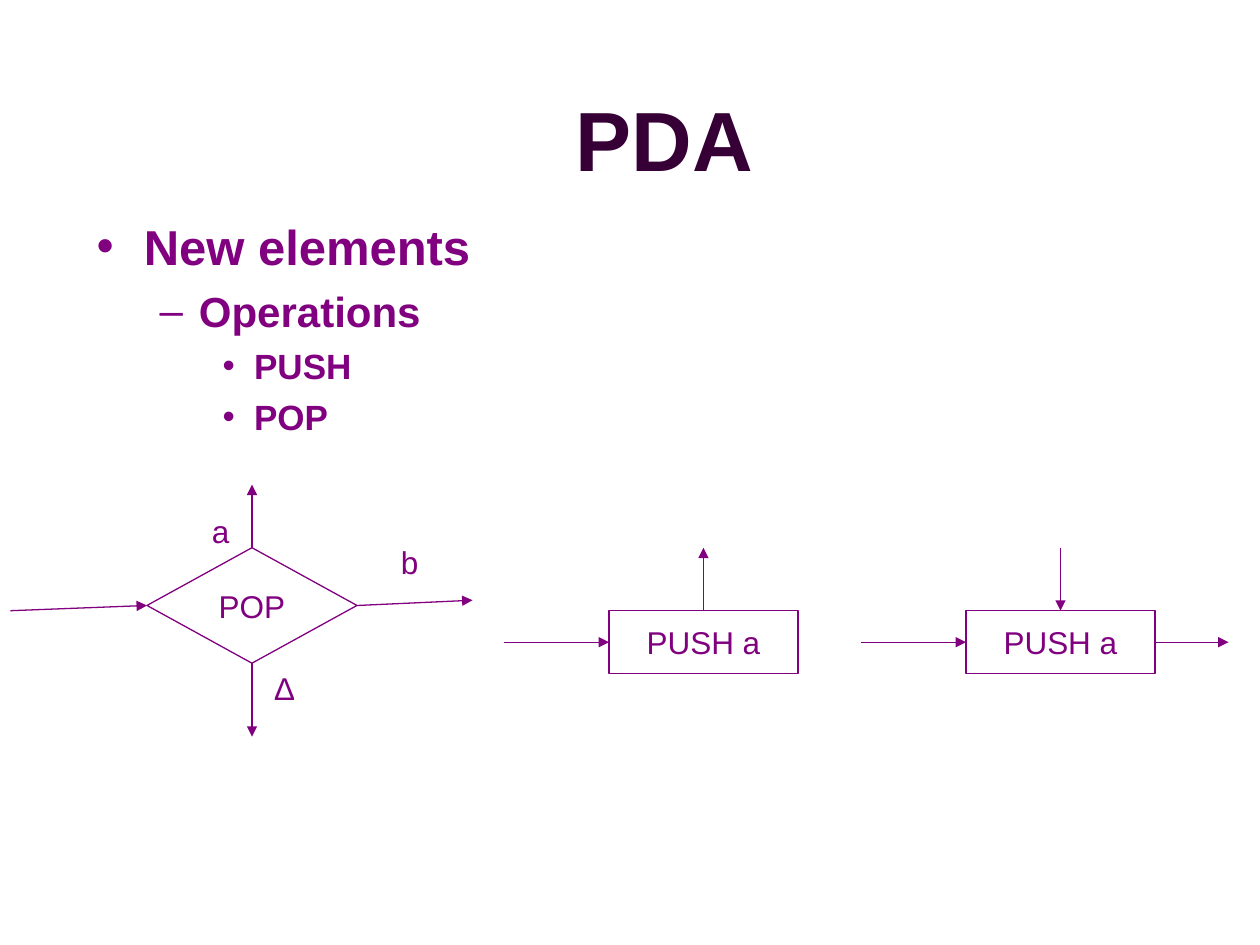
from lxml import etree
from pptx import Presentation
from pptx.dml.color import RGBColor
from pptx.enum import shapes, text
from pptx.oxml.ns import qn
from pptx.util import Pt

PURPLE = "800080"
DARK_PURPLE = "360036"
TOP, LEFT, BOTTOM, RIGHT = range(4)


def color(hex_value):
    return RGBColor.from_string(hex_value)


def write(paragraph, content, size=18, bold=False, fill=PURPLE, align=text.PP_ALIGN.LEFT):
    paragraph.alignment = align
    run = paragraph.add_run()
    run.text = content
    run.font.name = "Arial"
    run.font.size = Pt(size)
    run.font.bold = bold
    run.font.color.rgb = color(fill)


def place(shape, box):
    shape.left, shape.top, shape.width, shape.height = map(Pt, box)


def add_bullet(paragraph, character, margin, indent):
    properties = paragraph._p.get_or_add_pPr()
    properties.set("marL", str(Pt(margin)))
    properties.set("indent", str(Pt(-indent)))
    bullet_color = etree.SubElement(properties, qn("a:buClr"))
    etree.SubElement(bullet_color, qn("a:srgbClr"), val=PURPLE)
    etree.SubElement(properties, qn("a:buFont"), typeface="Arial")
    etree.SubElement(properties, qn("a:buChar"), char=character)


def add_title(slide, box):
    title = slide.shapes.title
    place(title, box)
    frame = title.text_frame
    frame.auto_size = text.MSO_AUTO_SIZE.NONE
    frame.vertical_anchor = text.MSO_ANCHOR.MIDDLE
    write(frame.paragraphs[0], "PDA", size=48, bold=True, fill=DARK_PURPLE,
          align=text.PP_ALIGN.CENTER)


def add_list(slide, box):
    body = slide.placeholders[1]
    place(body, box)
    frame = body.text_frame
    frame.auto_size = text.MSO_AUTO_SIZE.NONE
    # Per level: bullet, margin, hanging indent, text size, space before
    levels = [("•", 27, 27, 28, 0), ("–", 58.5, 22.5, 24, 6), ("•", 90, 18, 20, 5)]
    items = [("New elements", 0), ("Operations", 1), ("PUSH", 2), ("POP", 2)]
    for index, (content, level) in enumerate(items):
        paragraph = frame.add_paragraph() if index else frame.paragraphs[0]
        character, margin, indent, size, space = levels[level]
        paragraph.level = level
        add_bullet(paragraph, character, margin, indent)
        paragraph.space_before = Pt(space)
        write(paragraph, content, size=size, bold=True)


def add_node(slide, kind, content, box):
    node = slide.shapes.add_shape(kind, *map(Pt, box))
    node.shadow.inherit = False
    node.fill.background()
    node.line.color.rgb = color(PURPLE)
    node.line.width = Pt(0.75)
    frame = node.text_frame
    frame.word_wrap = False
    frame.vertical_anchor = text.MSO_ANCHOR.MIDDLE
    write(frame.paragraphs[0], content, align=text.PP_ALIGN.CENTER)
    return node


def add_arrow(slide, node, site, far_x, far_y, inward=False):
    """Arrow between a side of the node and a free point."""
    connector = slide.shapes.add_connector(
        shapes.MSO_CONNECTOR.STRAIGHT, *map(Pt, (far_x, far_y, far_x, far_y)))
    join = connector.end_connect if inward else connector.begin_connect
    join(node, site)
    connector.line.color.rgb = color(PURPLE)
    connector.line.width = Pt(0.75)
    line = connector.line._get_or_add_ln()
    etree.SubElement(line, qn("a:tailEnd"), type="triangle")
    etree.SubElement(connector._element.spPr, qn("a:effectLst"))


def add_label(slide, content, box):
    label = slide.shapes.add_textbox(*map(Pt, box))
    label.text_frame.word_wrap = True
    write(label.text_frame.paragraphs[0], content)


def add_pop(slide, box):
    left, top, width, height = box
    center, middle = left + width / 2, top + height / 2
    right, bottom = left + width, top + height
    node = add_node(slide, shapes.MSO_SHAPE.DIAMOND, "POP", box)
    add_arrow(slide, node, TOP, center, top - 36)
    add_arrow(slide, node, RIGHT, right + 66, middle - 3)
    add_arrow(slide, node, LEFT, left - 78, middle + 3, inward=True)
    add_arrow(slide, node, BOTTOM, center, bottom + 42)
    add_label(slide, "∆", (center + 6, bottom, 30, 29))
    add_label(slide, "a", (center - 30, top - 24, 24, 29))
    add_label(slide, "b", (right + 18, top - 6, 24, 29))


def add_push(slide, box, from_above=False):
    left, top, width, height = box
    middle = top + height / 2
    node = add_node(slide, shapes.MSO_SHAPE.RECTANGLE, "PUSH a", box)
    add_arrow(slide, node, TOP, left + width / 2, top - 36, inward=from_above)
    add_arrow(slide, node, LEFT, left - 60, middle, inward=True)
    if from_above:
        add_arrow(slide, node, RIGHT, left + width + 42, middle)


def main():
    presentation = Presentation()
    presentation.slide_width, presentation.slide_height = Pt(720), Pt(540)
    slide = presentation.slides.add_slide(presentation.slide_layouts[1])
    slide.background.fill.solid()
    slide.background.fill.fore_color.rgb = color("FFFFFF")

    # Heading and list
    add_title(slide, (89, 36, 581, 86))
    add_list(slide, (48, 120, 581, 140))

    # Operation diagrams
    add_pop(slide, (84, 313, 120, 66))
    add_push(slide, (348, 349, 108, 36))
    add_push(slide, (552, 349, 108, 36), from_above=True)

    presentation.save("out.pptx")


if __name__ == "__main__":
    main()
